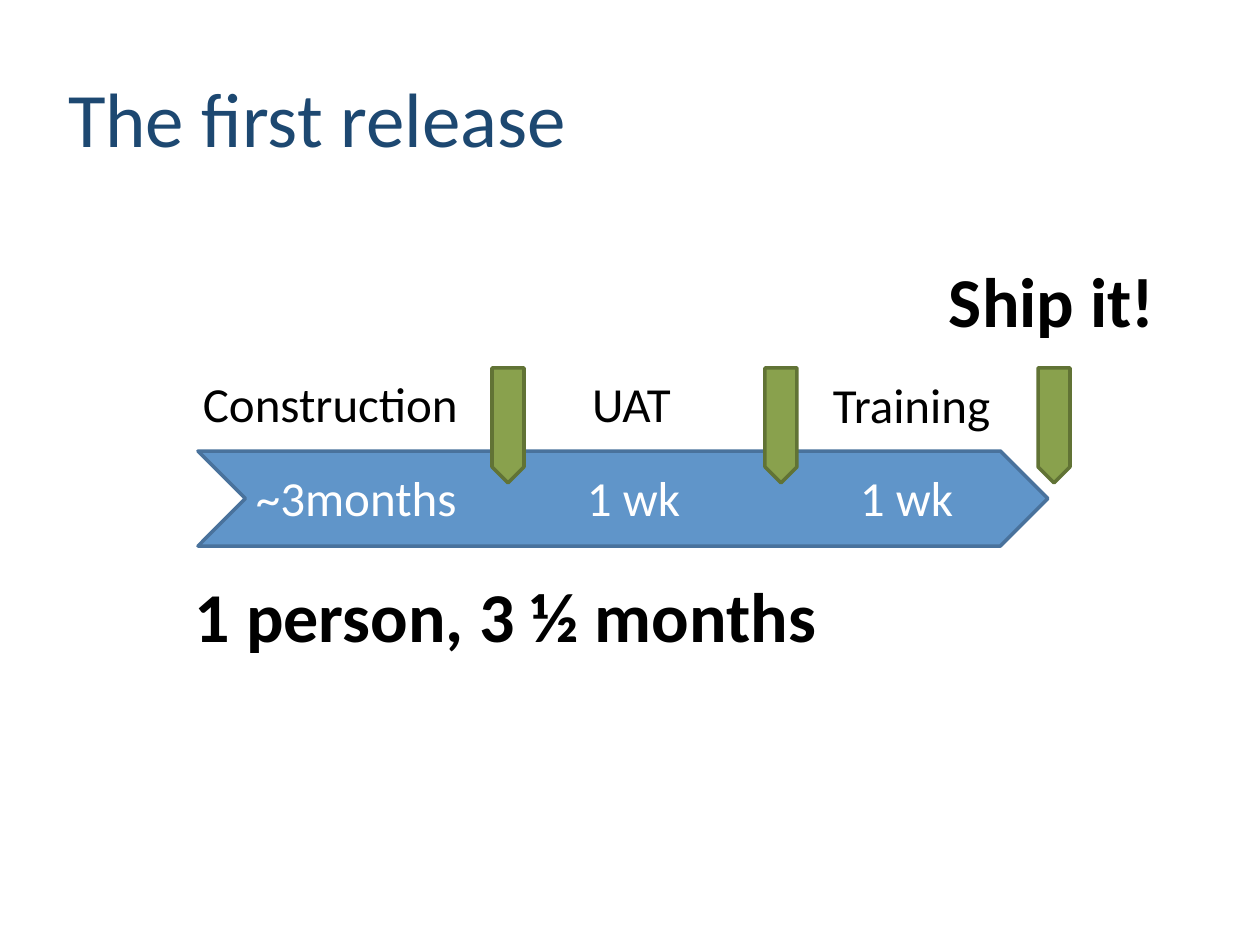
import pptx
import pptx.dml.color
import pptx.enum.shapes
import pptx.enum.text
import pptx.util

EMU_PER_PX = 914400 / 126
COLORS = {
    "title": "1D4871",
    "text": "000000",
    "on_bar": "FFFFFF",
    "bar": "6095C9",
    "bar_line": "49729C",
    "marker": "89A14D",
    "marker_line": "617335",
}
LABEL = {"size": pptx.util.Pt(28), "bold": False}
HEADLINE = {"size": pptx.util.Pt(40), "bold": True}
TITLE = {"size": pptx.util.Pt(44), "bold": False}


def px(length):
    return pptx.util.Emu(round(length * EMU_PER_PX))


def rgb(name):
    return pptx.dml.color.RGBColor.from_string(COLORS[name])


class TimelinePage:
    font_name = "Calibri"
    inset = 5
    line_width = pptx.util.Pt(2)

    def __init__(self, deck):
        self.page = deck.slides.add_slide(deck.slide_layouts[5])

    def fill_text(self, shape, text, color, font, anchor):
        frame = shape.text_frame
        settings = {"word_wrap": True, "vertical_anchor": anchor}
        for side in ("left", "top", "right", "bottom"):
            settings[f"margin_{side}"] = px(self.inset)
        for name, value in settings.items():
            setattr(frame, name, value)
        para = frame.paragraphs[0]
        para.alignment = pptx.enum.text.PP_ALIGN.LEFT
        span = para.add_run()
        span.text = text
        for name, value in {"name": self.font_name, **font}.items():
            setattr(span.font, name, value)
        span.font.color.rgb = rgb(color)

    def title(self, text, left, top, width, height):
        shape = self.page.shapes.title
        place = {"left": left, "top": top, "width": width, "height": height}
        for name, value in place.items():
            setattr(shape, name, px(value))
        self.fill_text(shape, text, "title", TITLE, pptx.enum.text.MSO_ANCHOR.MIDDLE)

    def text(self, text, left, top, width, height, color="text", font=LABEL):
        box = self.page.shapes.add_textbox(*map(px, (left, top, width, height)))
        self.fill_text(box, text, color, font, pptx.enum.text.MSO_ANCHOR.TOP)

    def paint(self, shape, color):
        shape.shadow.inherit = False
        shape.fill.solid()
        shape.fill.fore_color.rgb = rgb(color)
        shape.line.color.rgb = rgb(f"{color}_line")
        shape.line.width = self.line_width

    def bar(self, left, top, width, height):
        kind = pptx.enum.shapes.MSO_SHAPE.CHEVRON
        chevron = self.page.shapes.add_shape(kind, *map(px, (left, top, width, height)))
        chevron.adjustments[0] = 0.5
        self.paint(chevron, "bar")

    def marker(self, center, top, half_width=16, height=115):
        """Draw a milestone post that points down at the bar."""
        left, right = center - half_width, center + half_width
        tip = top + height
        shoulder = tip - half_width
        builder = self.page.shapes.build_freeform(right, top, scale=EMU_PER_PX)
        builder.add_line_segments(
            [(right, shoulder), (center, tip), (left, shoulder), (left, top)]
        )
        self.paint(builder.convert_to_shape(), "marker")


def main():
    deck = pptx.Presentation()
    deck.slide_width, deck.slide_height = px(1260), px(945)
    page = TimelinePage(deck)

    page.title("The first release", 63, 38, 1134, 158)
    page.bar(198, 451, 850, 95)
    for step in range(3):
        page.marker(508 + 273 * step, 368)

    page.text("Ship it!", 944, 252, 266, 93, font=HEADLINE)
    for phase, left, top, width in (
        ("Construction", 198, 368, 316),
        ("UAT", 587, 368, 106),
        ("Training", 828, 369, 208),
    ):
        page.text(phase, left, top, width, 68)
    for duration, left, width in (
        ("~3months", 251, 252),
        ("1 wk", 582, 129),
        ("1 wk", 855, 129),
    ):
        page.text(duration, left, 462, width, 68, color="on_bar")
    page.text("1 person, 3 ½ months", 190, 567, 640, 96, font=HEADLINE)

    deck.save("out.pptx")


if __name__ == "__main__":
    main()
